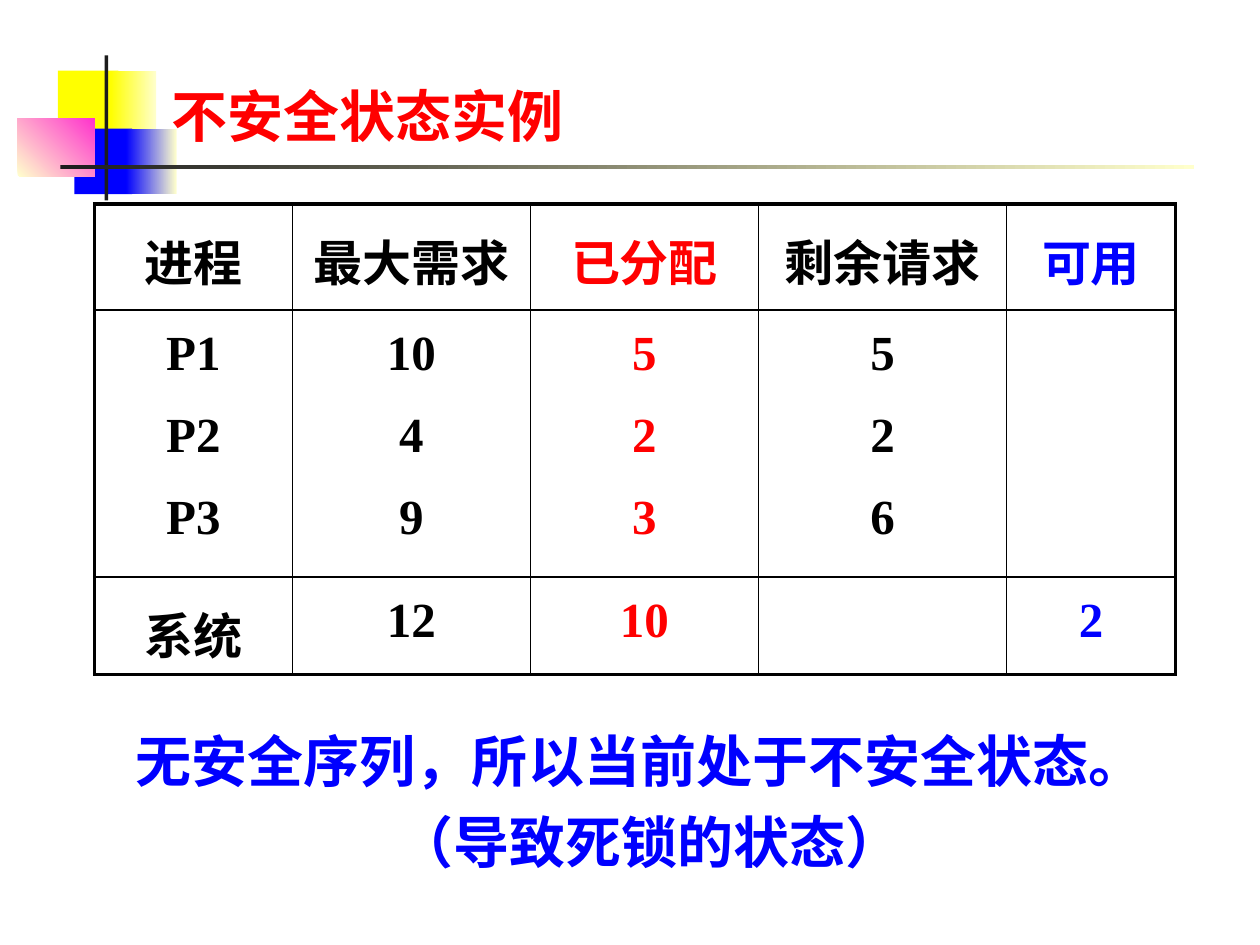
from pptx import Presentation
from pptx.dml.color import RGBColor
from pptx.enum.shapes import MSO_SHAPE
from pptx.enum.text import MSO_ANCHOR, PP_ALIGN
from pptx.oxml.xmlchemy import OxmlElement
from pptx.util import Inches, Pt

RECT = MSO_SHAPE.RECTANGLE
LEFT, CENTER = PP_ALIGN.LEFT, PP_ALIGN.CENTER
TOP, BOTTOM = MSO_ANCHOR.TOP, MSO_ANCHOR.BOTTOM
SERIF, SANS = "Times New Roman", "Noto Sans CJK SC"
BLACK, RED, BLUE = "000000", "FF0000", "0000FF"
YELLOW, CREAM, PINK, DARK = "FFFF00", "FFFFCC", "FF33CC", "1C1C1C"

COL_WIDTHS = [1.57, 1.89, 1.81, 1.97, 1.34]
ROW_HEIGHTS = [0.84, 2.12, 0.68]
COL_COLORS = [BLACK, BLACK, RED, BLACK, BLUE]
ROWS = [
    ["进程", "最大需求", "已分配", "剩余请求", "可用"],
    ["P1\nP2\nP3", "10\n4\n9", "5\n2\n3", "5\n2\n6", ""],
    ["系统", "12", "10", "", "2"],
]


def rgb(color):
    return RGBColor.from_string(color)


def write(tf, text, size=28, font=SERIF, color=BLACK, aligns=(CENTER,),
          line=None, before=0):
    """Write one paragraph per line; the last alignment serves the rest."""
    for i, words in enumerate(text.split("\n")):
        p = tf.paragraphs[0] if i == 0 else tf.add_paragraph()
        p.alignment = aligns[min(i, len(aligns) - 1)]
        p.line_spacing = line
        p.space_before = Pt(before)
        r = p.add_run()
        r.text = words
        r.font.size, r.font.bold, r.font.name = Pt(size), True, font
        r.font.color.rgb = rgb(color)
        ea = OxmlElement("a:ea")
        ea.set("typeface", SANS)
        r.font._element.find("{*}latin").addnext(ea)


def add_bar(slide, box, colors, angle=0):
    """Add a rectangle with one plain colour or a gradient of two."""
    sp = slide.shapes.add_shape(RECT, *map(Inches, box))
    sp.shadow.inherit = False
    sp.line.fill.background()
    if len(colors) == 1:
        sp.fill.solid()
        sp.fill.fore_color.rgb = rgb(colors[0])
        return
    sp.fill.gradient()
    sp.fill.gradient_angle = angle
    for stop, color, position in zip(sp.fill.gradient_stops, colors, (0, 1)):
        stop.color.rgb = rgb(color)
        stop.position = position


def add_ornament(slide, x, y):
    """Add the coloured squares and crossing rules from their top left corner."""
    for dx, dy, w, h, colors, angle in [
        (0.32, 0.12, 0.48, 0.52, [YELLOW], 0),
        (0.74, 0.12, 0.36, 0.52, [YELLOW, CREAM], 0),
        (0.45, 0.58, 0.46, 0.52, [BLUE], 0),
        (0.86, 0.58, 0.40, 0.52, [BLUE, CREAM], 0),
        (0.00, 0.50, 0.61, 0.46, [CREAM, PINK], 45),
        (0.69, 0.00, 0.03, 1.15, [DARK], 0),
        (0.34, 0.87, 9.00, 0.03, [DARK, CREAM], 0),
    ]:
        add_bar(slide, (x + dx, y + dy, w, h), colors, angle)


def add_title(slide, x, y, w, h):
    sp = slide.shapes.title
    sp.left, sp.top, sp.width, sp.height = map(Inches, (x, y, w, h))
    sp.text_frame.vertical_anchor = BOTTOM
    write(sp.text_frame, "不安全状态实例", size=32, color=RED, aligns=(LEFT,))
    slide.shapes._spTree.append(sp._element)


def set_border(cell, side, width):
    ln = OxmlElement(f"a:ln{side}")
    ln.set("w", str(Pt(width)))
    fill, clr = OxmlElement("a:solidFill"), OxmlElement("a:srgbClr")
    clr.set("val", BLACK)
    fill.append(clr)
    ln.append(fill)
    cell._tc.get_or_add_tcPr().append(ln)


def add_process_table(slide, x, y):
    n_rows, n_cols = len(ROWS), len(COL_WIDTHS)
    size = (sum(COL_WIDTHS), sum(ROW_HEIGHTS))
    table = slide.shapes.add_table(
        n_rows, n_cols, *map(Inches, (x, y, *size))).table
    table.first_row = table.horz_banding = False
    for column, width in zip(table.columns, COL_WIDTHS):
        column.width = Inches(width)
    for i, (row, height) in enumerate(zip(table.rows, ROW_HEIGHTS)):
        row.height = Inches(height)
        for j, cell in enumerate(row.cells):
            outer = {"L": j == 0, "R": j == n_cols - 1,
                     "T": i == 0, "B": i == n_rows - 1}
            for side, is_outer in outer.items():
                set_border(cell, side, 2.25 if is_outer else 1)
            cell.fill.background()
            cell.vertical_anchor = TOP
            if ROWS[i][j]:
                write(cell.text_frame, ROWS[i][j], color=COL_COLORS[j],
                      line=1.2, before=9.6)


def add_conclusion(slide, x, y, w, h):
    tf = slide.shapes.add_textbox(*map(Inches, (x, y, w, h))).text_frame
    tf.word_wrap = True
    write(tf, "无安全序列，所以当前处于不安全状态。\n（导致死锁的状态）",
          size=32, font=SANS, color=BLUE, aligns=(LEFT, CENTER), before=7.5)


def main():
    prs = Presentation()
    prs.slide_width, prs.slide_height = Inches(10), Inches(7.5)
    slide = prs.slides.add_slide(prs.slide_layouts[5])
    add_ornament(slide, 0.14, 0.44)
    add_process_table(slide, 0.75, 1.62)
    add_conclusion(slide, 0.98, 5.72, 8.35, 1.43)
    add_title(slide, 1.26, 0.28, 8.52, 0.95)
    prs.save("out.pptx")


if __name__ == "__main__":
    main()
